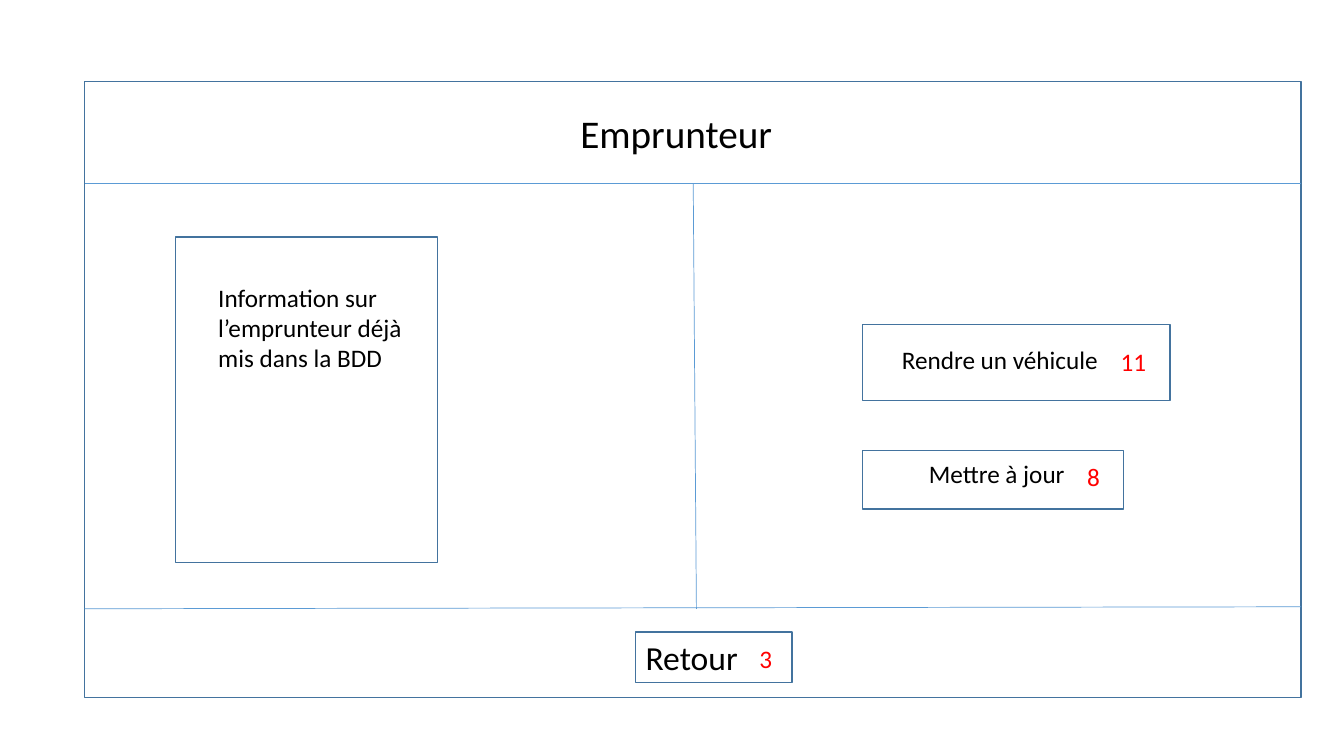
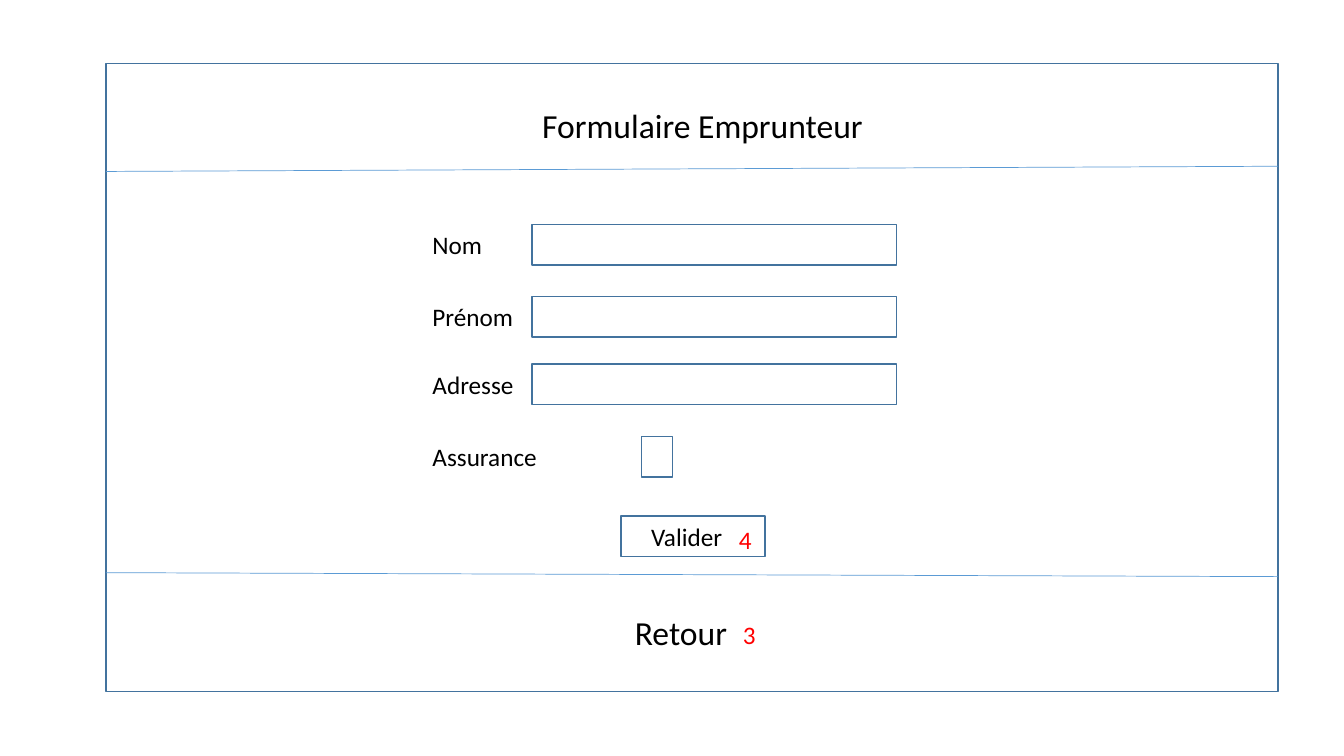
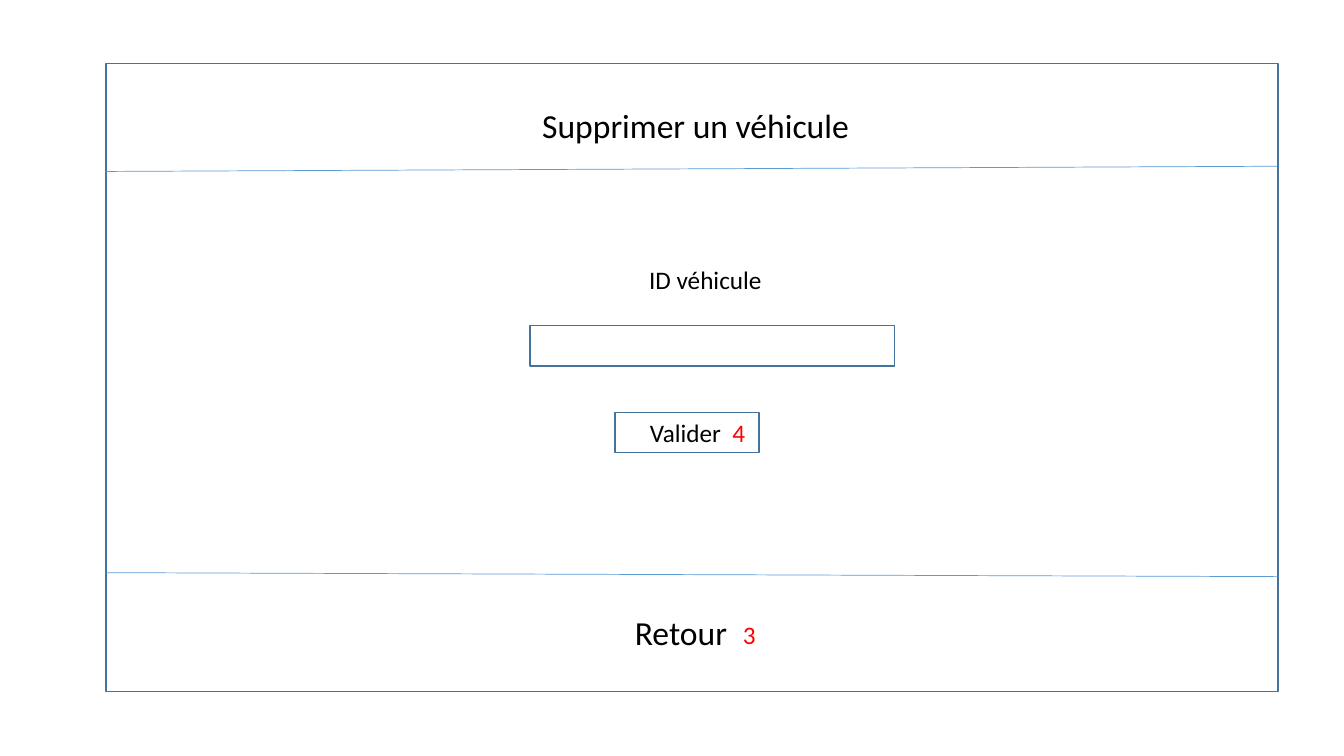
import pptx
import pptx.util
import pptx.dml.color
import pptx.enum.shapes
import pptx.enum.text
import pptx.oxml

Cm, Pt = pptx.util.Cm, pptx.util.Pt
FONT, INK, RED = "Calibri", "000000", "FF0000"
EDGE, RULE = "43739E", "5B9BD5"
ROW = 1.02  # height of a field or a line of text
AREA = (2.67, 1.6, 29.54, 15.82)  # frame of the form slides
FIELD = 9.19


def paint(form, tint):
    form.rgb = pptx.dml.color.RGBColor.from_string(tint)


def style(frame, size, tint):
    frame.vertical_anchor = pptx.enum.text.MSO_ANCHOR.TOP
    for para in frame.paragraphs:
        para.alignment = pptx.enum.text.PP_ALIGN.LEFT
        para.font.name, para.font.size = FONT, Pt(size)
        paint(para.font.color, tint)


def label(slide, x, y, wide, text, size=18, tint=INK, high=ROW, wrap=False):
    box = slide.shapes.add_textbox(Cm(x), Cm(y), Cm(wide), Cm(high))
    frame = box.text_frame
    frame.text = text
    frame.word_wrap = wrap
    frame.auto_size = pptx.enum.text.MSO_AUTO_SIZE.SHAPE_TO_FIT_TEXT
    style(frame, size, tint)


def mark(slide, x, y, text, wide=0.84):
    label(slide, x, y, wide, text, tint=RED)


def rect(slide, x, y, wide, high=ROW):
    shape = slide.shapes.add_shape(
        pptx.enum.shapes.MSO_SHAPE.RECTANGLE, Cm(x), Cm(y), Cm(wide), Cm(high))
    shape.shadow.inherit = False
    shape.fill.background()
    paint(shape.line.color, EDGE)
    shape.line.width = Pt(1)


def rule(slide, x1, y1, x2, y2):
    line = slide.shapes.add_connector(
        pptx.enum.shapes.MSO_CONNECTOR.STRAIGHT, Cm(x1), Cm(y1), Cm(x2), Cm(y2))
    paint(line.line.color, RULE)
    line.line.width = Pt(0.5)
    props = line._element.spPr
    props.append(pptx.oxml.parse_xml(
        '<a:effectLst xmlns:a="http://schemas.openxmlformats.org/drawingml/2006/main"/>'))


def page(deck, box, title, spot, size, head, foot):
    """Framed slide: title, then a header and a footer rule (left, right)."""
    slide = deck.slides.add_slide(deck.slide_layouts[5])
    x, y, wide, high = box
    rect(slide, *box)
    for left, right in (head, foot):
        rule(slide, x, y + left, x + wide, y + right)
    # Title
    dx, dy, span, tall = spot
    name = slide.shapes.title
    name.left, name.top = Cm(x + dx), Cm(y + dy)
    name.width, name.height = Cm(span), Cm(tall)
    name.text_frame.text = title
    name.text_frame.word_wrap = True
    name.text_frame.auto_size = pptx.enum.text.MSO_AUTO_SIZE.NONE
    style(name.text_frame, size, INK)
    return slide


def button(slide, box, text, span, shift, num, place, size=18, tall=ROW, room=0.84):
    """Outlined button; text and red number are offset from its corner."""
    x, y = box[:2]
    label(slide, x + shift[0], y + shift[1], span, text, size, high=tall)
    rect(slide, *box)
    mark(slide, x + place[0], y + place[1], num, room)


def lender(deck):
    box = x, y, wide, high = 2.13, 2.06, 30.66, 15.52
    slide = page(deck, box, "Emprunteur", (12.24, 0.56, 6.2, 1.45), 28,
                 (2.57, 2.57), (13.28, 13.23))
    rule(slide, x + 15.34, y + 2.57, x + 15.42, y + 13.28)
    # Information panel
    label(slide, x + 3.12, y + 4.93, 5.18,
          "Information sur l’emprunteur déjà mis dans la BDD", high=2.57, wrap=True)
    rect(slide, x + 2.29, y + 3.91, 6.6, 8.2)
    # Buttons
    button(slide, (x + 19.61, y + 6.12, 7.75, 1.91), "Rendre un véhicule", 5.51,
           (0.74, 0.36), "11", (6.25, 0.41), room=1.17)
    button(slide, (x + 19.61, y + 9.3, 6.58, 1.47), "Mettre à jour", 4.14,
           (1.42, 0.07), "8", (5.41, 0.15))
    button(slide, (x + 13.89, y + 13.87, 3.94, 1.27), "Retour", 2.87,
           (0, 0), "3", (2.87, 0.15), 24, 1.27)


def form(deck, title, span):
    """Shared slide of the forms, with the way back in its footer."""
    slide = page(deck, AREA, title, (10.74, 0.91, span, 1.27), 24,
                 (2.72, 2.59), (12.83, 12.93))
    x, y = AREA[:2]
    label(slide, x + 13.08, y + 13.69, 3.12, "Retour", 24, high=1.27, wrap=True)
    mark(slide, x + 15.8, y + 13.89, "3")
    return slide


def confirm(slide, x, y, shift, place):
    button(slide, (x, y, 3.63, ROW), "Valider", 2.34, (shift, 0), "4", place)


def enrol(deck):
    slide = form(deck, "Formulaire Emprunteur", 8.64)
    x, y = AREA[:2]
    # Rows: label, its width, top, left and width of the field
    rows = (("Nom", 1.78, 4.06, 10.74, FIELD),
            ("Prénom", 2.57, 5.87, 10.74, FIELD),
            ("Adresse", 2.57, 7.57, 10.74, FIELD),
            ("Assurance", 3.18, 9.4, 13.49, 0.79))
    for text, span, top, left, wide in rows:
        label(slide, x + 7.98, y + top, span, text)
        rect(slide, x + left, y + top, wide)
    confirm(slide, x + 12.98, y + 11.4, 0.51, (2.72, 0.08))


def remove(deck):
    slide = form(deck, "Supprimer un véhicule", 8.33)
    x, y = AREA[:2]
    label(slide, x + 13.44, y + 4.93, 3.38, "ID véhicule")
    rect(slide, x + 10.69, y + 6.6, FIELD)
    confirm(slide, x + 12.83, y + 8.79, 0.63, (2.71, 0))


def main():
    deck = pptx.Presentation()
    deck.slide_width, deck.slide_height = Cm(33.87), Cm(19.05)
    for build in (lender, enrol, remove):
        build(deck)
    deck.save("out.pptx")


if __name__ == "__main__":
    main()
